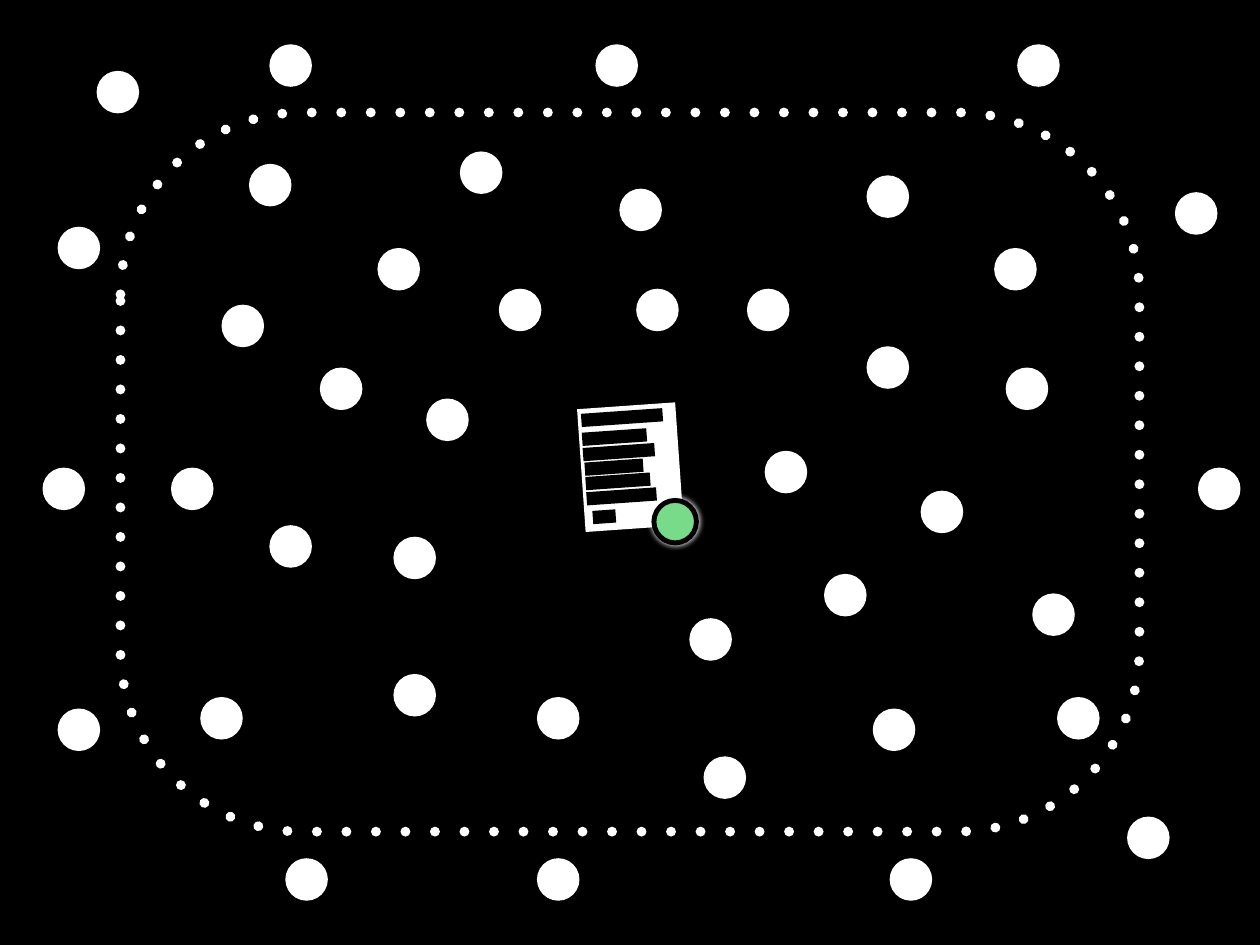
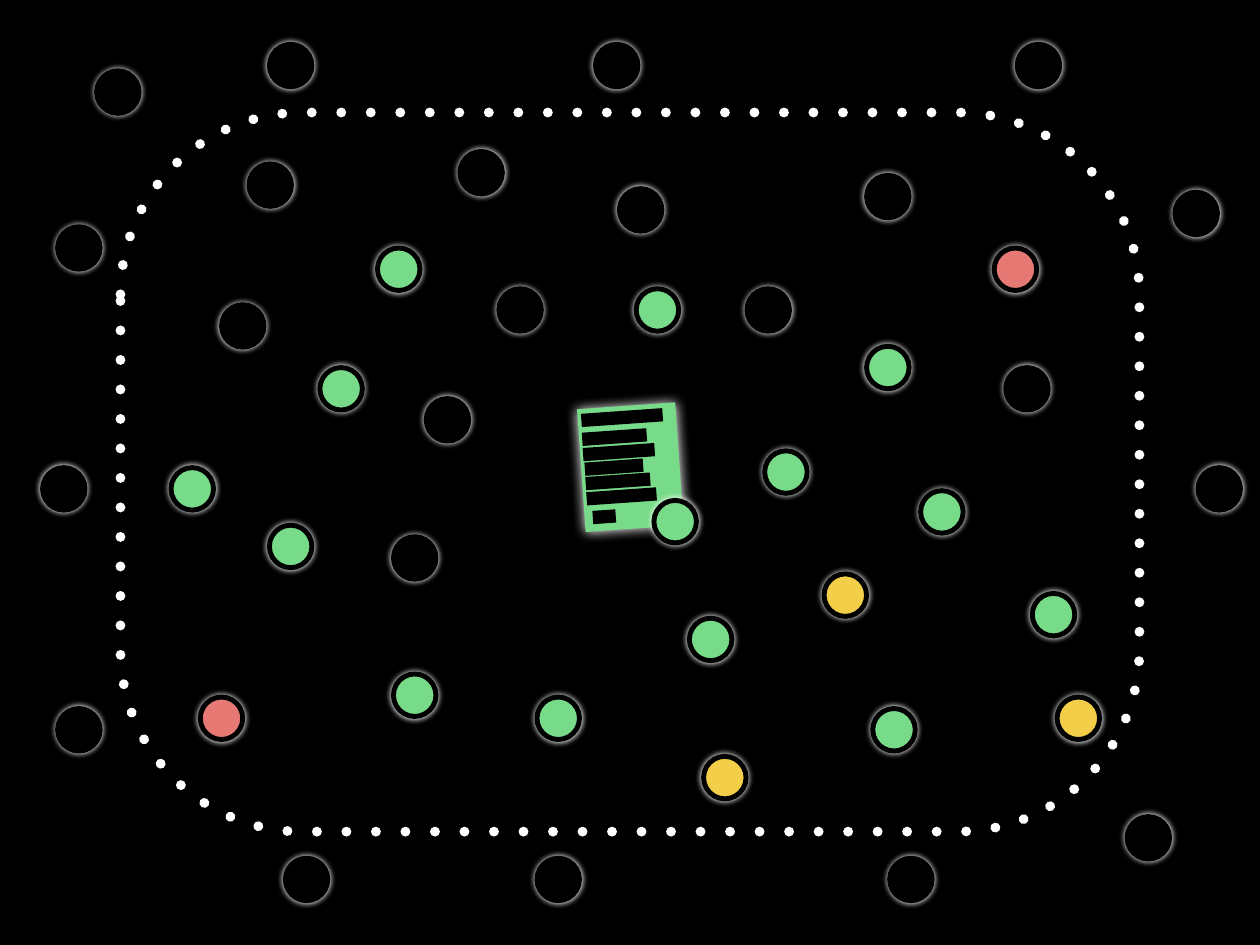
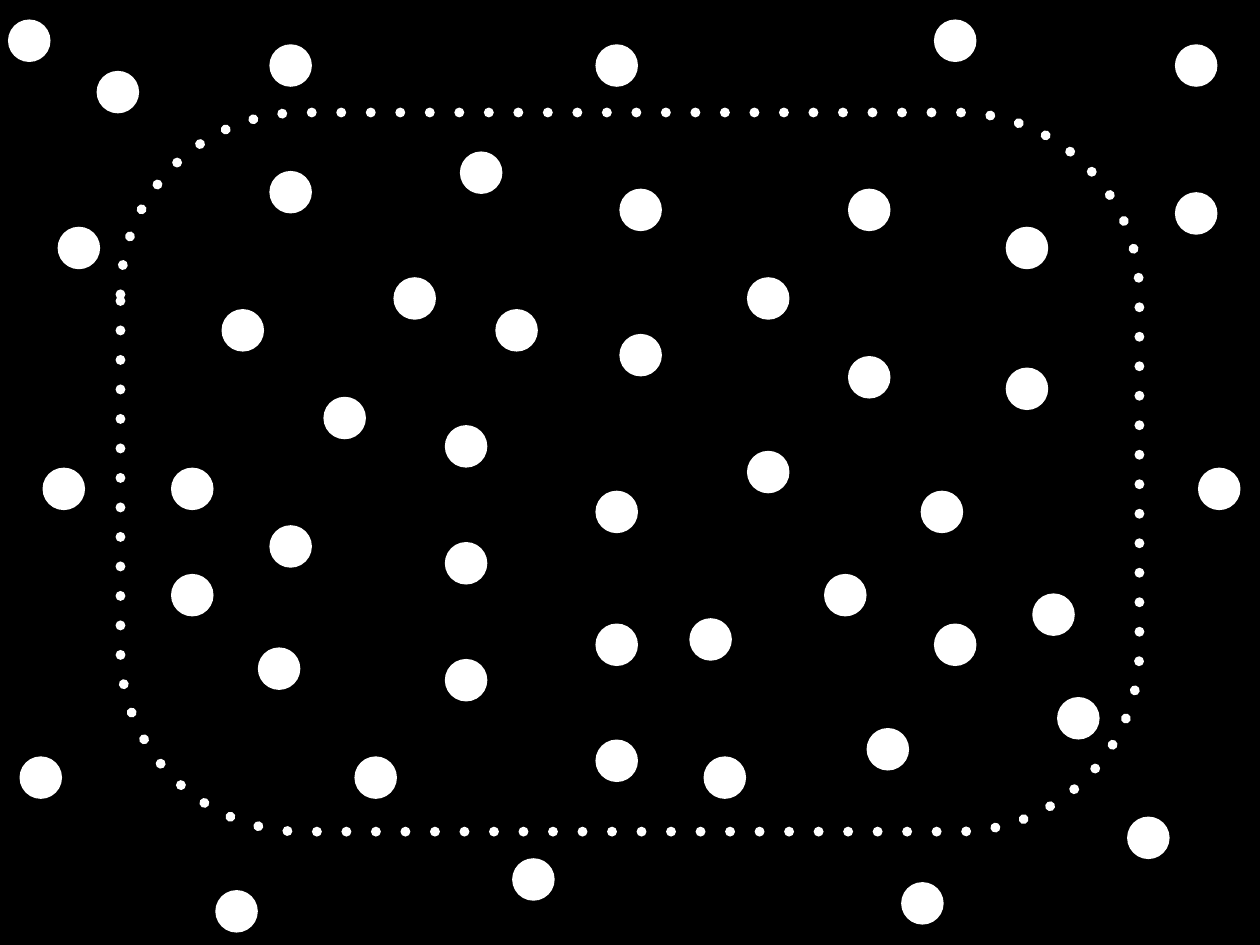
from dataclasses import dataclass

from lxml import etree
from pptx import Presentation
from pptx.dml.color import RGBColor
from pptx.enum import shapes
from pptx.oxml import ns
from pptx.util import Inches, Pt


@dataclass(frozen=True)
class Theme:
    black: str = "000000"
    white: str = "FFFFFF"
    green: str = "78DB89"
    yellow: str = "F3CE49"
    red: str = "E77975"
    font: str = "Calibri"
    frame_line: float = 8
    dot_line: float = 4
    dot_glow: float = 5
    sheet_glow: float = 10


THEME = Theme()
SLIDE_W, SLIDE_H = 14.22, 10.67
FRAME = (1.36, 1.27, 11.5, 8.12)
FRAME_RADIUS = 0.253
DOT = 0.48
SHEET = (6.56, 4.58, 1.11, 1.39)
SHEET_TILT = 356
BAR_H = 0.15
BARS = [
    (0, 0.06, 0.92), (0.01, 0.28, 0.73), (0.02, 0.45, 0.81), (0.04, 0.62, 0.66),
    (0.05, 0.78, 0.73), (0.06, 0.95, 0.79), (0.13, 1.18, 0.26),
]
BADGE = (0.82, 1.07)

COMMON_DOTS = {
    THEME.black: [
        (3.04, 0.5), (5.19, 1.71), (11.35, 4.15), (12.72, 9.22), (0.48, 5.28),
        (0.65, 2.56), (1.09, 0.8), (6.72, 0.5), (13.26, 2.17), (13.52, 5.28),
        (6.99, 2.13),
    ],
    THEME.green: [(3.04, 5.93), (10.39, 5.54), (11.65, 6.7), (7.78, 6.98), (1.93, 5.28)],
    THEME.yellow: [(9.3, 6.48), (11.93, 7.87), (7.94, 8.54)],
}
SHEET_DOTS = {
    THEME.black: [
        (2.81, 1.85), (5.63, 3.26), (2.5, 3.44), (4.44, 6.06), (8.43, 3.26),
        (9.78, 1.98), (10.04, 9.69), (6.06, 9.69), (3.22, 9.69), (0.65, 8),
        (4.81, 4.5), (11.48, 0.5),
    ],
    THEME.green: [
        (4.26, 2.8), (3.61, 4.15), (7.18, 3.26), (9.78, 3.91), (8.63, 5.09),
        (6.06, 7.87), (4.44, 7.61), (9.85, 8),
    ],
    THEME.red: [(11.22, 2.8), (2.26, 7.87)],
}
OPEN_DOTS = {
    THEME.white: [
        (3.04, 1.93), (4.44, 3.13), (5.59, 3.49), (3.65, 4.48), (2.5, 3.49),
        (5.02, 6.12), (6.99, 3.77), (8.43, 3.13), (9.57, 2.13), (13.26, 0.5),
        (9.57, 4.02), (8.43, 5.09), (6.72, 7.04), (5.02, 7.44), (2.91, 7.31),
        (10.54, 7.04), (9.78, 8.22), (6.72, 8.35), (4, 8.54), (1.93, 6.48),
        (5.02, 4.8), (11.35, 2.56), (6.72, 5.54), (0.22, 8.54), (2.43, 10.05),
        (5.78, 9.69), (10.17, 9.96), (10.54, 0.22), (0.09, 0.22),
    ],
}


def add_glow(sp, blur):
    effects = sp._element.spPr.find(ns.qn("a:effectLst"))
    shadow = etree.SubElement(
        effects, ns.qn("a:outerShdw"),
        blurRad=str(Pt(blur)), dist="0", dir="5400000", rotWithShape="0",
    )
    etree.SubElement(shadow, ns.qn("a:srgbClr"), val=THEME.white)


def add_shape(tree, kind, box, fill=None, line=None, width=0, glow=0, tilt=0):
    sp = tree.add_shape(kind, *(Inches(v) for v in box))
    sp.shadow.inherit = False
    sp.rotation = tilt
    if fill:
        sp.fill.solid()
        sp.fill.fore_color.rgb = RGBColor.from_string(fill)
    else:
        sp.fill.background()
    if line:
        sp.line.color.rgb = RGBColor.from_string(line)
        sp.line.width = Pt(width)
    else:
        sp.line.fill.background()
    if glow:
        add_glow(sp, glow)
    return sp


def add_frame(tree, box):
    sp = add_shape(tree, shapes.MSO_SHAPE.ROUNDED_RECTANGLE, box,
                   line=THEME.white, width=THEME.frame_line)
    sp.adjustments[0] = FRAME_RADIUS
    ln = sp.line._get_or_add_ln()
    ln.set("cap", "rnd")
    dash = etree.Element(ns.qn("a:custDash"))
    etree.SubElement(dash, ns.qn("a:ds"), d="100000", sp="200000")
    ln.find(ns.qn("a:solidFill")).addnext(dash)


def add_dot(tree, left, top, fill, ringed):
    ring = dict(line=THEME.black, width=THEME.dot_line, glow=THEME.dot_glow) if ringed else {}
    add_shape(tree, shapes.MSO_SHAPE.OVAL, (left, top, DOT, DOT), fill, **ring)


def add_dots(tree, groups, coloured):
    for group in groups:
        for colour, places in group.items():
            for left, top in places:
                add_dot(tree, left, top, colour if coloured else THEME.white, coloured)


def add_sheet(tree, box, fill, glow=0):
    left, top = box[:2]
    rect = shapes.MSO_SHAPE.RECTANGLE
    add_shape(tree, rect, box, fill, glow=glow, tilt=SHEET_TILT)
    for dx, dy, width in BARS:
        add_shape(tree, rect, (left + dx, top + dy, width, BAR_H), THEME.black, tilt=SHEET_TILT)


def add_field(prs, groups, coloured=False):
    s = prs.slides.add_slide(prs.slide_layouts.get_by_name("Blank"))
    add_frame(s.shapes, FRAME)
    add_dots(s.shapes, groups, coloured)
    return s


def add_sheet_field(prs, coloured):
    s = add_field(prs, (COMMON_DOTS, SHEET_DOTS), coloured)
    if coloured:
        add_sheet(s.shapes, SHEET, THEME.green, THEME.sheet_glow)
    else:
        add_sheet(s.shapes.add_group_shape().shapes, SHEET, THEME.white)
    add_dot(s.shapes, SHEET[0] + BADGE[0], SHEET[1] + BADGE[1], THEME.green, True)


def main():
    prs = Presentation()
    prs.slide_width, prs.slide_height = Inches(SLIDE_W), Inches(SLIDE_H)
    backdrop = prs.slide_master.background.fill
    backdrop.solid()
    backdrop.fore_color.rgb = RGBColor.from_string(THEME.black)
    add_sheet_field(prs, coloured=False)
    add_sheet_field(prs, coloured=True)
    add_field(prs, (COMMON_DOTS, OPEN_DOTS))
    prs.save("out.pptx")


if __name__ == "__main__":
    main()
